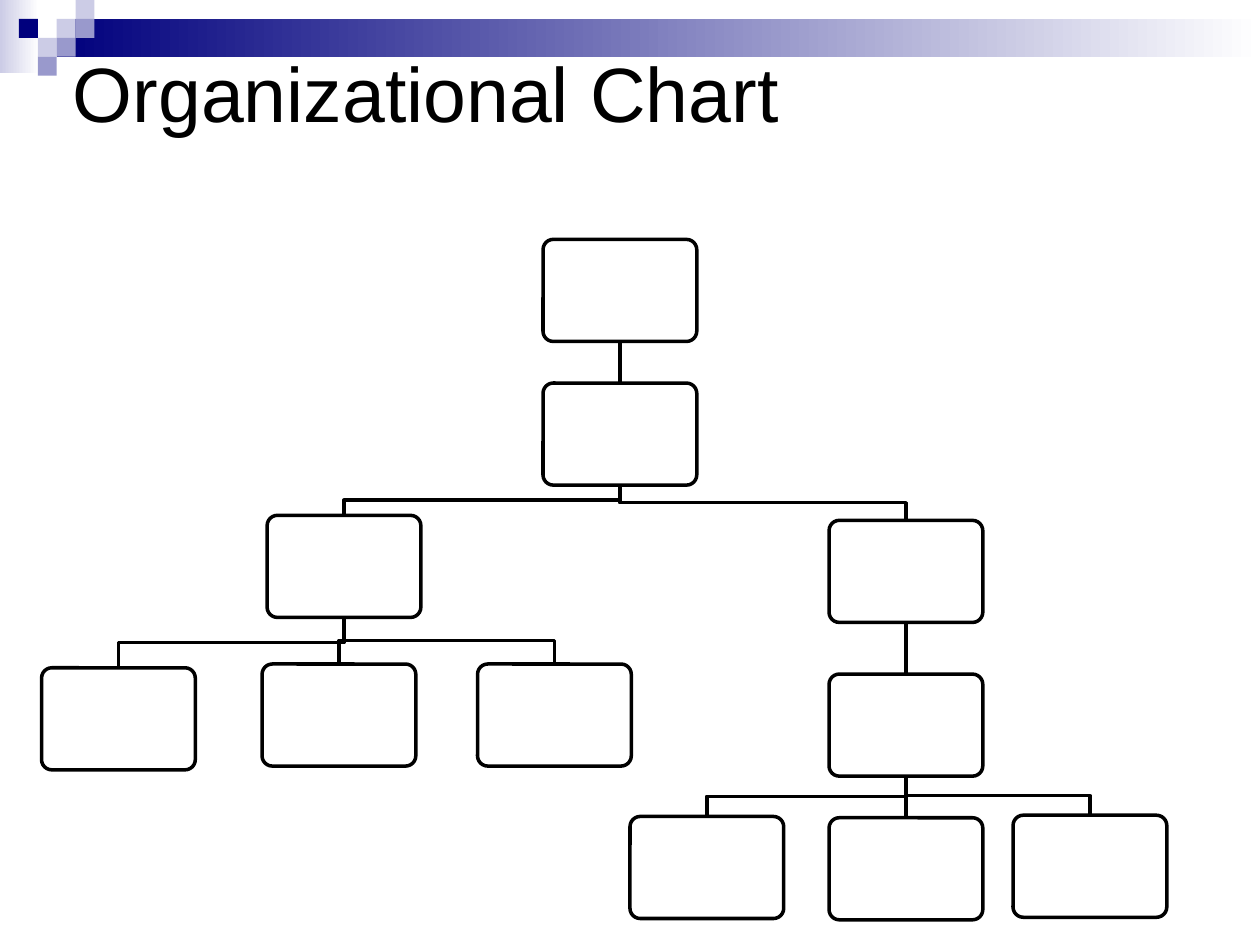
from pptx import Presentation
from pptx.dml.color import RGBColor
from pptx.enum.shapes import MSO_CONNECTOR, MSO_SHAPE
from pptx.enum.text import MSO_ANCHOR
from pptx.oxml.ns import qn
from pptx.util import Inches, Pt
from lxml import etree

BLACK = RGBColor(0x00, 0x00, 0x00)
WHITE = RGBColor(0xFF, 0xFF, 0xFF)
NAVY = RGBColor(0x00, 0x00, 0x7D)
LAVENDER = RGBColor(0xCC, 0xCC, 0xE6)
VIOLET = RGBColor(0x99, 0x99, 0xCC)

BOX_W, BOX_H = 1.22, 0.81
LINE_WIDTH = Pt(2)
SQUARE = 0.15

# Column, row and colour of each decorative square
SQUARES = [
    (3, 1, LAVENDER), (4, 0, LAVENDER), (4, 1, VIOLET), (2, 2, LAVENDER),
    (1, 1, NAVY), (3, 2, VIOLET), (2, 3, VIOLET),
]

# Name: (left, top, parent)
BOXES = {
    "head": (4.31, 1.9, None),
    "deputy": (4.31, 3.04, "head"),
    "left": (2.12, 4.09, "deputy"),
    "left 1": (0.33, 5.3, "left"),
    "left 2": (2.08, 5.27, "left"),
    "left 3": (3.79, 5.27, "left"),
    "right": (6.58, 4.13, "deputy"),
    "right lead": (6.58, 5.35, "right"),
    "right 1": (5, 6.48, "right lead"),
    "right 2": (6.58, 6.49, "right lead"),
    "right 3": (8.04, 6.47, "right lead"),
}


def add_plain_rect(s, left, top, width, height):
    sp = s.shapes.add_shape(MSO_SHAPE.RECTANGLE, Inches(left), Inches(top),
                            Inches(width), Inches(height))
    sp.shadow.inherit = False
    sp.line.fill.background()
    return sp


def add_fading_rect(s, left, top, width, height, color):
    fill = add_plain_rect(s, left, top, width, height).fill
    fill.gradient()
    fill.gradient_angle = 0
    for stop, rgb in zip(fill.gradient_stops, (color, WHITE)):
        stop.color.rgb = rgb


def add_square(s, col, row, color):
    sp = add_plain_rect(s, col * SQUARE, row * SQUARE, SQUARE, SQUARE)
    sp.fill.solid()
    sp.fill.fore_color.rgb = color


def set_line(sp):
    sp.line.color.rgb = BLACK
    sp.line.width = LINE_WIDTH


def add_box(s, left, top):
    sp = s.shapes.add_shape(MSO_SHAPE.ROUNDED_RECTANGLE, Inches(left),
                            Inches(top), Inches(BOX_W), Inches(BOX_H))
    sp.adjustments[0] = 0.1
    sp.shadow.inherit = False
    sp.fill.solid()
    sp.fill.fore_color.rgb = WHITE
    set_line(sp)
    return sp


def add_link(s, parent, child):
    """Join parent's bottom to child's top, bending halfway if they are offset."""
    x1, y1 = parent.left + parent.width // 2, parent.top + parent.height
    x2, y2 = child.left + child.width // 2, child.top
    if x1 == x2:
        link = s.shapes.add_connector(MSO_CONNECTOR.STRAIGHT, x1, y1, x2, y2)
        link.begin_connect(parent, 2)
        link.end_connect(child, 0)
        etree.SubElement(link._element.spPr, qn("a:effectLst"))
    else:
        middle = (y1 + y2) // 2
        builder = s.shapes.build_freeform(x1, y1)
        builder.add_line_segments([(x1, middle), (x2, middle), (x2, y2)],
                                  close=False)
        link = builder.convert_to_shape()
        link.shadow.inherit = False
        link.fill.background()
    set_line(link)


def add_title(s, text):
    tf = s.shapes.add_textbox(Inches(0.48), Inches(0.2),
                              Inches(9.02), Inches(1.05)).text_frame
    tf.word_wrap = True
    tf.vertical_anchor = MSO_ANCHOR.MIDDLE
    p = tf.paragraphs[0]
    p.text = text
    p.font.name = "Arial"
    p.font.size = Pt(44)
    p.font.color.rgb = BLACK


def main():
    prs = Presentation()
    prs.slide_width, prs.slide_height = Inches(10), Inches(7.5)
    s = prs.slides.add_slide(prs.slide_layouts[6])

    add_fading_rect(s, 0, 0, 0.31, 0.58, LAVENDER)
    add_fading_rect(s, 0.45, 0.15, 9.55, 0.3, NAVY)
    for square in SQUARES:
        add_square(s, *square)

    shapes = {}
    for name, (left, top, parent) in BOXES.items():
        shapes[name] = add_box(s, left, top)
        if parent:
            add_link(s, shapes[parent], shapes[name])

    add_title(s, "Organizational Chart")
    prs.save("out.pptx")


if __name__ == "__main__":
    main()
